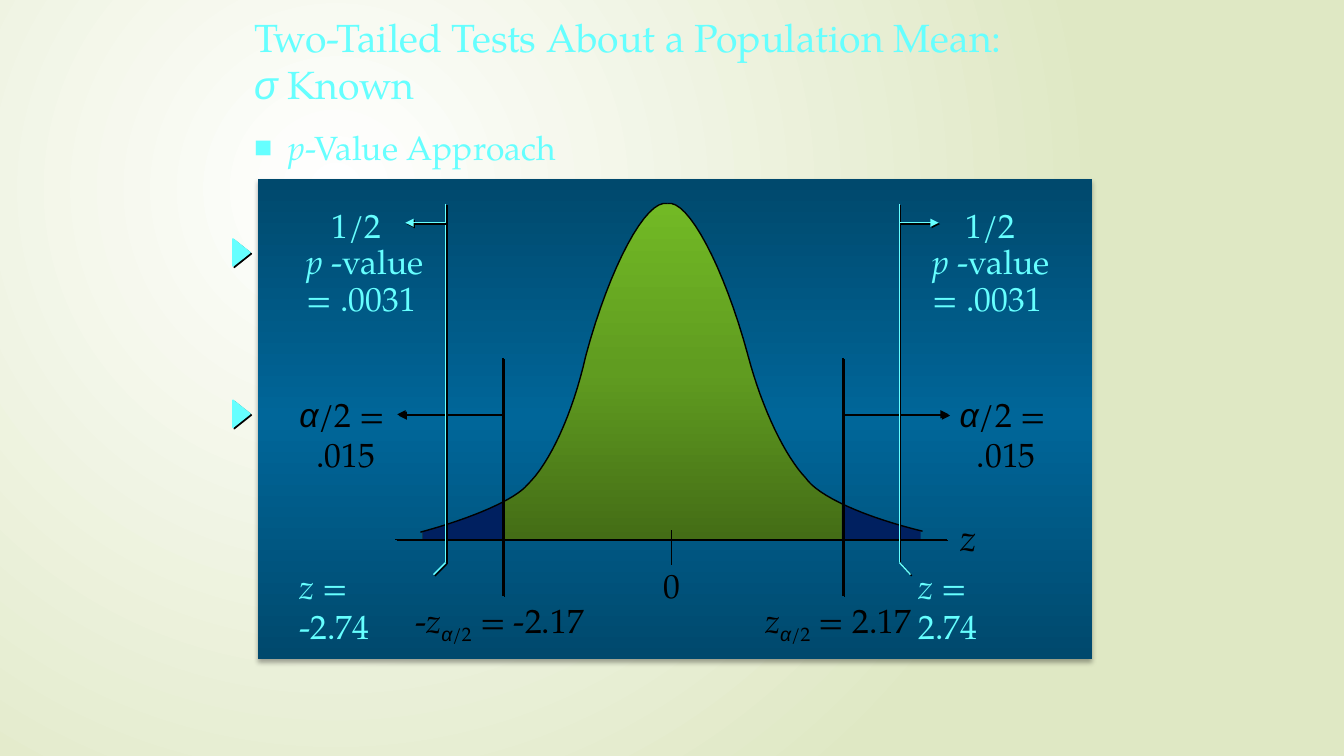
import pptx
import pptx.util
import pptx.dml.color
import pptx.enum.shapes
import pptx.enum.text
import pptx.oxml
import pptx.oxml.ns
from pptx.util import Inches

FONT = "TeX Gyre Pagella"
CYAN, BLACK, NAVY = "66FFFF", "000000", "002060"
SHADOW = (BLACK, 100, 0, 1.4, 45)  # colour, opacity, blur, distance, angle
BASELINE = 5.35


def colour(value):
    return pptx.dml.color.RGBColor.from_string(value)


def element(tag, **attributes):
    new = pptx.oxml.parse_xml(f"<a:{tag} {pptx.oxml.ns.nsdecls('a')}/>")
    for name, value in attributes.items():
        new.set(name, str(value))
    return new


def shadow_effects(shade, opacity, blur, distance, angle):
    effects = element("effectLst")
    outer = element("outerShdw", blurRad=int(blur * 12700), dist=int(distance * 12700),
                    dir=angle * 60000, algn="ctr", rotWithShape=0)
    tint = element("srgbClr", val=shade)
    tint.append(element("alpha", val=opacity * 1000))
    outer.append(tint)
    effects.append(outer)
    return effects


def apply_gradient(fill, owner, stops, direction):
    """Fill with (position, colour) stops along a direction element."""
    fill.gradient()
    gradient = owner.find(".//" + pptx.oxml.ns.qn("a:gradFill"))
    for child in list(gradient):
        gradient.remove(child)
    stop_list = element("gsLst")
    for position, value in stops:
        stop = element("gs", pos=position * 1000)
        stop.append(element("srgbClr", val=value))
        stop_list.append(stop)
    gradient.append(stop_list)
    gradient.append(direction)


def write(paragraph, text, size=24, color=BLACK, font=FONT, italic=False,
          baseline=0, shadow=True):
    run = paragraph.add_run()
    run.text = text
    run.font.size = pptx.util.Pt(size)
    run.font.italic = italic
    run.font.color.rgb = colour(color)
    run.font.name = font
    properties = run.font._element if hasattr(run.font, "_element") else run._r.get_or_add_rPr()
    if baseline:
        properties.set("baseline", str(baseline * 1000))
    if shadow:
        properties.find(pptx.oxml.ns.qn("a:solidFill")).addnext(shadow_effects(*SHADOW))


class SlideBuilder:
    def __init__(self, slide):
        self.slide = slide
        self.shapes = slide.shapes

    def background(self, stops):
        direction = element("path", path="circle")
        direction.append(element("fillToRect", l=50000, t=50000, r=100000, b=100000))
        apply_gradient(self.slide.background.fill, self.slide.element, stops, direction)

    def fill_text(self, frame, lines, indents=(), spacing=None, **style):
        """Each line is a list of (text, format) runs."""
        frame.word_wrap = True
        frame.auto_size = pptx.enum.text.MSO_AUTO_SIZE.NONE
        for index, line in enumerate(lines):
            paragraph = frame.paragraphs[0] if index == 0 else frame.add_paragraph()
            paragraph.alignment = pptx.enum.text.PP_ALIGN.LEFT
            paragraph.space_before = pptx.util.Pt(0)
            if spacing:
                paragraph.line_spacing = spacing
            if index < len(indents) and indents[index]:
                paragraph._p.get_or_add_pPr().set("marL", str(Inches(indents[index])))
            for text, changes in line:
                write(paragraph, text, **{**style, **changes})

    def placeholder(self, holder, box, lines, anchor, **style):
        holder.left, holder.top, holder.width, holder.height = map(Inches, box)
        holder.text_frame.vertical_anchor = anchor
        self.fill_text(holder.text_frame, lines, color=CYAN, shadow=False, **style)

    def label(self, box, lines, **options):
        self.fill_text(self.shapes.add_textbox(*map(Inches, box)).text_frame, lines, **options)

    def finish(self, shape, fill=None, stops=None, angle=0, line=None, shadow=None):
        shape.shadow.inherit = False
        if stops:
            apply_gradient(shape.fill, shape.element, stops,
                           element("lin", ang=angle * 60000, scaled=0))
        elif fill:
            shape.fill.solid()
            shape.fill.fore_color.rgb = colour(fill)
        else:
            shape.fill.background()
        if line:
            shape.line.color.rgb = colour(line)
            shape.line.width = pptx.util.Pt(1)
        else:
            shape.line.fill.background()
        if shadow:
            effects = shape.element.find(".//" + pptx.oxml.ns.qn("a:effectLst"))
            effects.append(shadow_effects(*shadow)[0])

    def preset(self, kind, box, rotation=0, **style):
        shape = self.shapes.add_shape(kind, *map(Inches, box))
        shape.rotation = rotation
        self.finish(shape, **style)

    def outline(self, points, closed=True, **style):
        corners = [(Inches(x), Inches(y)) for x, y in points]
        builder = self.shapes.build_freeform(*corners[0])
        builder.add_line_segments(corners[1:], close=closed)
        self.finish(builder.convert_to_shape(), **style)

    def line(self, start, end, color=BLACK, arrow=False, shadow=SHADOW):
        connector = self.shapes.add_connector(
            pptx.enum.shapes.MSO_CONNECTOR.STRAIGHT, *map(Inches, (*start, *end)))
        connector.line.color.rgb = colour(color)
        connector.line.width = pptx.util.Pt(1)
        if arrow:
            connector.line._get_or_add_ln().append(element("tailEnd", type="triangle"))
        effects = shadow_effects(*shadow) if shadow else element("effectLst")
        connector.element.spPr.append(effects)


def bezier(start, first, second, end, steps=16):
    weights = [((1 - t) ** 3, 3 * t * (1 - t) ** 2, 3 * t * t * (1 - t), t ** 3)
               for t in (step / steps for step in range(steps + 1))]
    return [tuple(sum(w * point[axis] for w, point in zip(row, (start, first, second, end)))
                  for axis in (0, 1)) for row in weights]


def area_under(curve, left, right):
    """Outline between the curve and the baseline, cut at left and right."""
    def height(x):
        for (x1, y1), (x2, y2) in zip(curve, curve[1:]):
            if x1 <= x <= x2 and x2 > x1:
                return y1 + (y2 - y1) * (x - x1) / (x2 - x1)
    inside = [point for point in curve if left < point[0] < right]
    return [(left, BASELINE), (left, height(left)), *inside,
            (right, height(right)), (right, BASELINE)]


def main():
    presentation = pptx.Presentation()
    presentation.slide_width, presentation.slide_height = Inches(13.33), Inches(7.5)
    slide = presentation.slides.add_slide(presentation.slide_layouts[1])
    builder = SlideBuilder(slide)
    builder.background([(0, "FFFFFF"), (100, "DFE8C4")])
    italic = {"italic": True}
    greek = {"font": "Arial", "italic": True}

    # Title and heading
    builder.placeholder(slide.shapes.title, (2.42, 0.15, 8.5, 0.89),
                        [[("Two-Tailed Tests About a Population Mean:", {})],
                         [("σ", greek), (" Known", {})]],
                        pptx.enum.text.MSO_ANCHOR.MIDDLE, size=28)
    body = slide.placeholders[1]
    properties = body.text_frame.paragraphs[0]._p.get_or_add_pPr()
    properties.set("marL", str(Inches(0.34)))
    properties.set("indent", str(Inches(-0.34)))
    properties.append(element("buSzPct", val=90000))
    properties.append(element("buChar", char="■"))
    builder.placeholder(body, (2.42, 1.21, 3.6, 0.5),
                        [[("p", italic), ("-Value Approach", {})]],
                        pptx.enum.text.MSO_ANCHOR.TOP)

    # Panel and bell curve
    kinds = pptx.enum.shapes.MSO_SHAPE
    builder.preset(kinds.RECTANGLE, (2.56, 1.78, 8.27, 4.76), angle=90,
                   stops=[(0, "00496D"), (50, "006699"), (100, "00496D")],
                   shadow=(BLACK, 32, 3.5, 2.2, 90))
    arcs = [bezier(*points) for points in (
        ((4.17, 5.28), (4.69, 5.14), (5.12, 4.95), (5.23, 4.81)),
        ((5.23, 4.81), (5.45, 4.6), (5.68, 4.11), (5.81, 3.53)),
        ((5.81, 3.53), (6.05, 2.64), (6.41, 1.97), (6.62, 2.02)),
        ((6.62, 2.02), (6.82, 1.97), (7.18, 2.64), (7.42, 3.53)),
        ((7.42, 3.53), (7.56, 4.06), (7.79, 4.53), (7.99, 4.74)),
        ((7.99, 4.74), (8.11, 4.92), (8.57, 5.13), (9.15, 5.27)))]
    curve = [point for arc in arcs for point in arc]
    builder.outline(area_under(curve, 4.19, 9.13), angle=270,
                    stops=[(0, "446D16"), (50, "609C20"), (100, "72B925")])
    for left, right in ((4.19, 4.99), (8.35, 9.13)):
        builder.outline(area_under(curve, left, right), fill=NAVY)
    for arc in arcs:
        builder.outline(arc, closed=False, line=BLACK)

    # Axis
    builder.line((3.92, BASELINE), (9.39, BASELINE))
    builder.line((6.66, 5.26), (6.66, 5.61), shadow=None)
    builder.label((6.48, 5.56, 0.37, 0.5), [[("0", {})]])
    builder.label((9.43, 5.06, 0.4, 0.54), [[("z", italic)]], size=26)

    # Critical values and test statistics: cut, arrow end, alpha box, critical box,
    # sign, statistic line, its foot, arrow end, statistic box, half box, half indent
    sides = (
        (4.99, 3.94, 2.87, 4.02, "-", 4.42, 4.3, 4.02, 2.87, 2.94, 0.25),
        (8.36, 9.41, 9.42, 7.49, "", 8.92, 9.03, 9.31, 9.01, 9.15, 0.33))
    for (cut, alpha_end, alpha_left, critical_left, sign, statistic, foot,
         half_end, statistic_left, half_left, half_indent) in sides:
        builder.line((cut, 3.55), (cut, 5.91))
        builder.line((cut, 4.11), (alpha_end, 4.11), arrow=True)
        builder.label((alpha_left, 3.86, 1.2, 0.91),
                      [[("α", greek), ("/2 =", {})], [(".015", {})]], indents=(0, 0.17))
        critical = [("z", italic), ("α", {**greek, "baseline": -25}),
                    ("/2", {"baseline": -25}), (f" = {sign}2.17", {})]
        builder.label((critical_left, 5.9, 2.1, 0.5),
                      [[(sign, {})] + critical if sign else critical])
        builder.line((statistic, 2.02), (statistic, 5.58), CYAN)
        builder.line((statistic, 5.58), (foot, 5.7), CYAN)
        builder.line((statistic, 2.21), (half_end, 2.21), CYAN, arrow=True)
        builder.label((statistic_left, 5.56, 1.31, 0.91),
                      [[("z", italic), (" =", {})], [(f"{sign}2.74", {})]], color=CYAN)
        builder.label((half_left, 2.03, 1.5, 1.19),
                      [[("1/2", {})], [("p ", italic), ("-value", {})], [("= .0031", {})]],
                      indents=(half_indent,), spacing=0.9, color=CYAN)

    # Side markers
    for top in (2.42, 4.02):
        builder.preset(kinds.ISOSCELES_TRIANGLE, (2.26, top, 0.27, 0.17), rotation=90,
                       fill=CYAN, line=CYAN, shadow=SHADOW)
    presentation.save("out.pptx")


if __name__ == "__main__":
    main()
